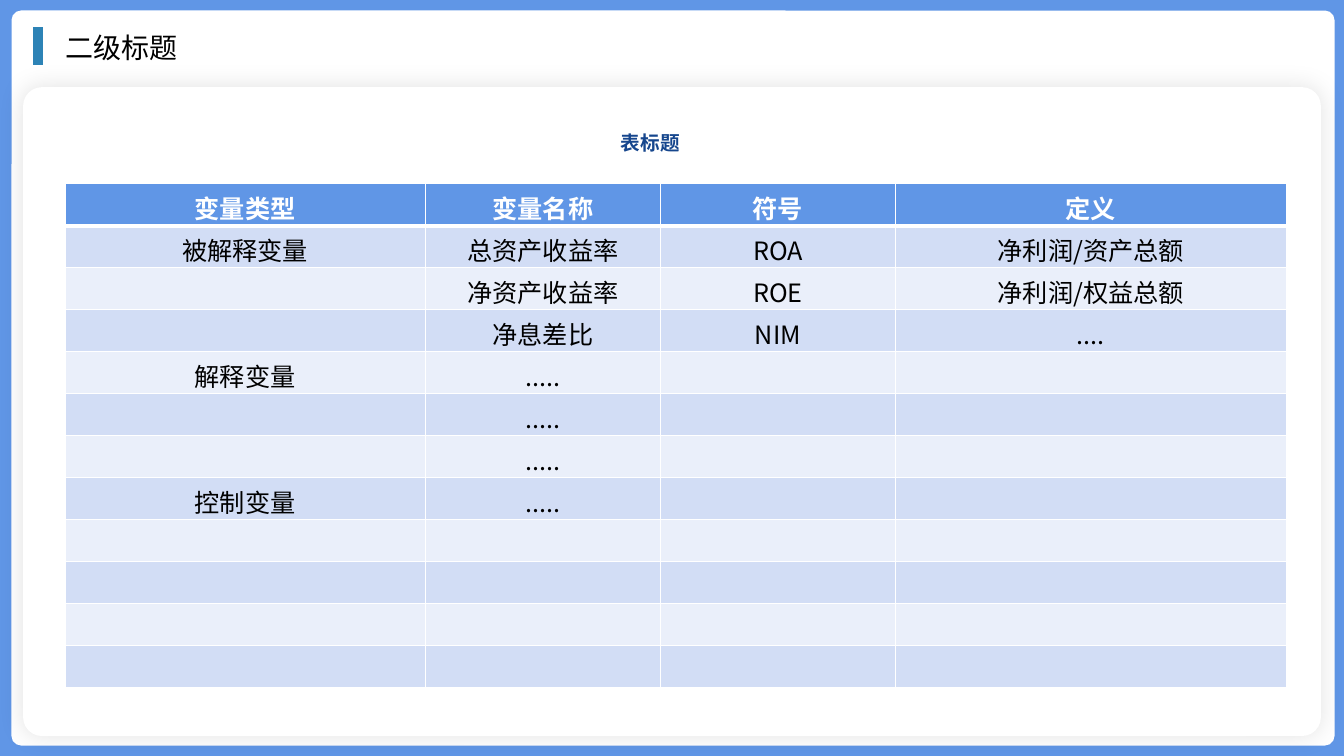
from dataclasses import dataclass

from lxml.etree import SubElement
from pptx import Presentation
from pptx.dml.color import RGBColor
from pptx.enum.shapes import MSO_CONNECTOR as Line, MSO_SHAPE as Preset
from pptx.enum.text import MSO_ANCHOR as Anchor, MSO_AUTO_SIZE as Fit, PP_ALIGN as Align
from pptx.oxml import parse_xml
from pptx.oxml.ns import nsdecls, qn
from pptx.util import Emu, Pt

PX = 9525
BLUE = RGBColor(0x60, 0x96, 0xE6)
TEAL = RGBColor(0x2D, 0x83, 0xB6)
NAVY = RGBColor(0x16, 0x46, 0x8D)
WHITE = RGBColor(0xFF, 0xFF, 0xFF)
BLACK = RGBColor(0, 0, 0)
DARK_BAND = RGBColor(0xD2, 0xDD, 0xF5)
PALE_BAND = RGBColor(0xEA, 0xEF, 0xFA)
SANS = "Noto Sans CJK SC"

WIDTHS = (343, 224, 224, 372)
ROW = 40
ROWS = (
    ("变量类型", "变量名称", "符号", "定义"),
    ("被解释变量", "总资产收益率", "ROA", "净利润/资产总额"),
    ("", "净资产收益率", "ROE", "净利润/权益总额"),
    ("", "净息差比", "NIM", "...."),
    ("解释变量", ".....", "", ""),
    ("", ".....", "", ""),
    ("", ".....", "", ""),
    ("控制变量", ".....", "", ""),
) + (("",) * 4,) * 4


@dataclass(frozen=True)
class Box:
    left: int
    top: int
    width: int
    height: int

    def emu(self) -> tuple[Emu, ...]:
        return tuple(px(n) for n in (self.left, self.top, self.width, self.height))


@dataclass(frozen=True)
class Panel:
    box: Box
    preset: Preset
    fill: RGBColor
    round: float = 0
    glow: bool = False


@dataclass(frozen=True)
class Style:
    font: str
    size: int
    color: RGBColor
    bold: bool = False


PANELS = (
    Panel(Box(0, 0, 1280, 720), Preset.RECTANGLE, BLUE),
    Panel(Box(11, 10, 1260, 700), Preset.ROUNDED_RECTANGLE, WHITE, 0.013),
    Panel(Box(22, 83, 1236, 618), Preset.ROUNDED_RECTANGLE, WHITE, 0.029, True),
)
TITLE = Style("Karla", 20, BLACK)
CAPTION = Style(SANS, 14, NAVY, True)
HEAD = Style(SANS, 18, WHITE, True)
BODY = Style(SANS, 18, BLACK)


def px(count: int) -> Emu:
    return Emu(count * PX)


def add_run(para, text: str, style: Style) -> None:
    run = para.add_run()
    run.text = text
    font = run.font
    font.name, font.size, font.bold = style.font, Pt(style.size), style.bold
    font.color.rgb = style.color
    if style.font == SANS:
        SubElement(run._r.get_or_add_rPr(), qn("a:ea"), typeface=SANS)


def add_panel(shapes, panel: Panel) -> None:
    shape = shapes.add_shape(panel.preset, *panel.box.emu())
    shape.fill.solid()
    shape.fill.fore_color.rgb = panel.fill
    shape.line.fill.background()
    shape.shadow.inherit = False
    if panel.round:
        shape.adjustments[0] = panel.round
    if panel.glow:
        effects = shape._element.spPr.find(qn("a:effectLst"))
        effects.append(parse_xml(
            f'<a:outerShdw {nsdecls("a")} blurRad="{Pt(18)}" dist="0" dir="0" algn="ctr">'
            f'<a:srgbClr val="{BLACK}"><a:alpha val="11000"/></a:srgbClr></a:outerShdw>'))


def add_marker(shapes) -> None:
    line = shapes.add_connector(Line.STRAIGHT, px(36), px(26), px(36), px(62))
    line.line.color.rgb = TEAL
    line.line.width = Pt(7.25)
    SubElement(line._element.spPr, qn("a:effectLst"))


def add_text(shapes, box: Box, text: str, style: Style):
    frame = shapes.add_textbox(*box.emu()).text_frame
    frame.word_wrap = True
    frame.auto_size = Fit.SHAPE_TO_FIT_TEXT
    para = frame.paragraphs[0]
    add_run(para, text, style)
    return para


def add_borders(cell, bottom: int) -> None:
    """Draw white cell edges, with the bottom edge in its own weight."""
    props = cell._tc.get_or_add_tcPr()
    for place, (side, weight) in enumerate(zip("LRTB", (1, 1, 1, bottom))):
        props.insert(place, parse_xml(
            f'<a:ln{side} {nsdecls("a")} w="{Pt(weight)}"><a:solidFill>'
            f'<a:srgbClr val="{WHITE}"/></a:solidFill></a:ln{side}>'))


def fill_cell(cell, text: str, style: Style, fill: RGBColor, bottom: int) -> None:
    cell.fill.solid()
    cell.fill.fore_color.rgb = fill
    add_borders(cell, bottom)
    cell.margin_top, cell.margin_bottom = px(1), 0
    cell.vertical_anchor = Anchor.BOTTOM
    para = cell.text_frame.paragraphs[0]
    para.alignment = Align.CENTER
    if text:
        add_run(para, text, style)


def add_grid(shapes) -> None:
    box = Box(62, 175, sum(WIDTHS), ROW * len(ROWS))
    table = shapes.add_table(len(ROWS), len(WIDTHS), *box.emu()).table
    table.first_row = table.horz_banding = False
    for column, width in zip(table.columns, WIDTHS):
        column.width = px(width)
    for i, texts in enumerate(ROWS):
        table.rows[i].height = px(ROW)
        band = DARK_BAND if i % 2 else PALE_BAND
        look = (BODY, band, 1) if i else (HEAD, BLUE, 3)
        for j, text in enumerate(texts):
            fill_cell(table.cell(i, j), text, *look)


def main() -> None:
    deck = Presentation()
    deck.slide_width, deck.slide_height = px(1280), px(720)
    shapes = deck.slides.add_slide(deck.slide_layouts[6]).shapes
    for panel in PANELS:
        add_panel(shapes, panel)
    add_marker(shapes)
    add_text(shapes, Box(53, 24, 1192, 42), "二级标题", TITLE)
    add_grid(shapes)
    caption = add_text(shapes, Box(352, 113, 535, 39), "表标题", CAPTION)
    caption.alignment = Align.CENTER
    caption.line_spacing = 1.3
    caption.space_after = Pt(6)
    deck.save("out.pptx")


if __name__ == "__main__":
    main()
